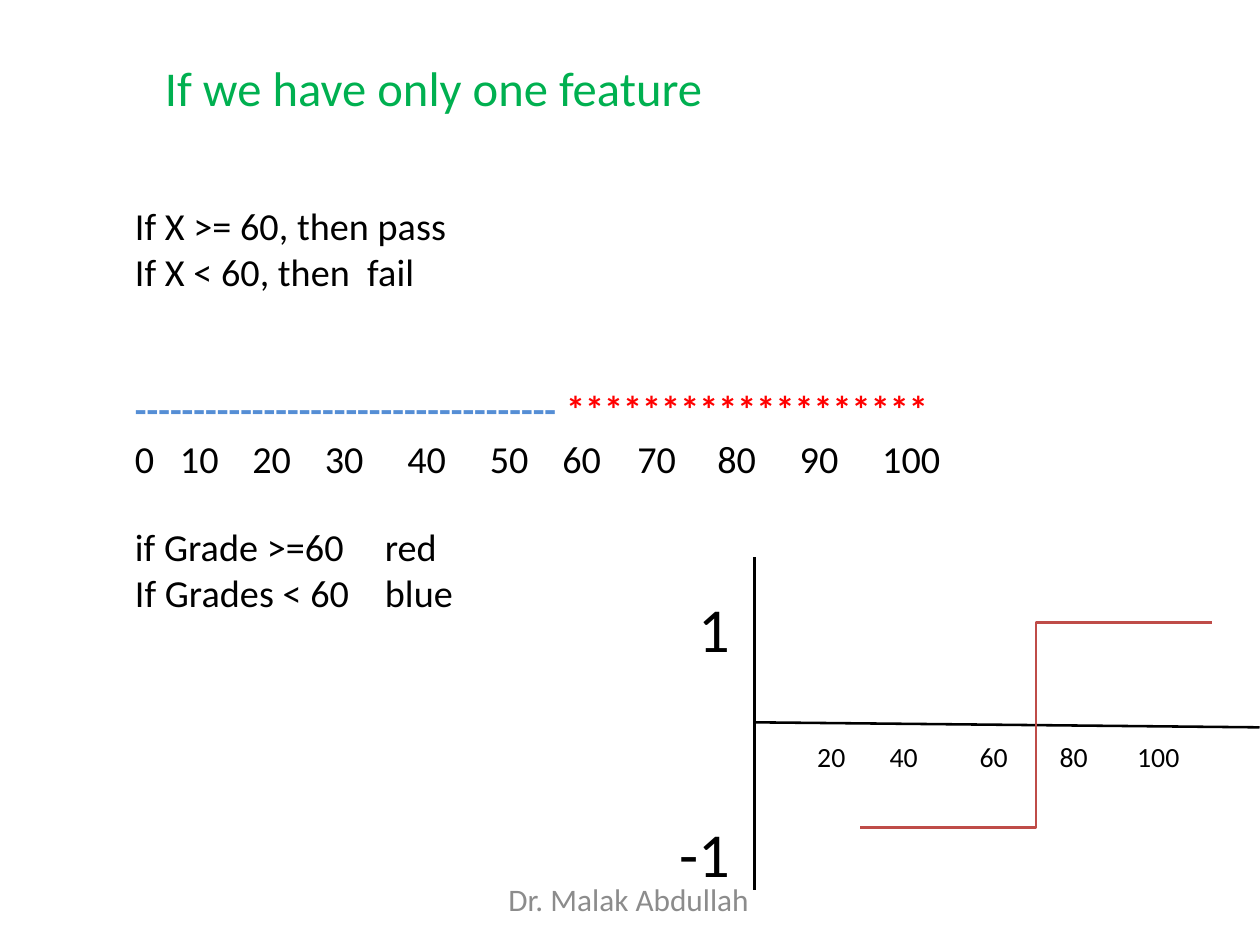
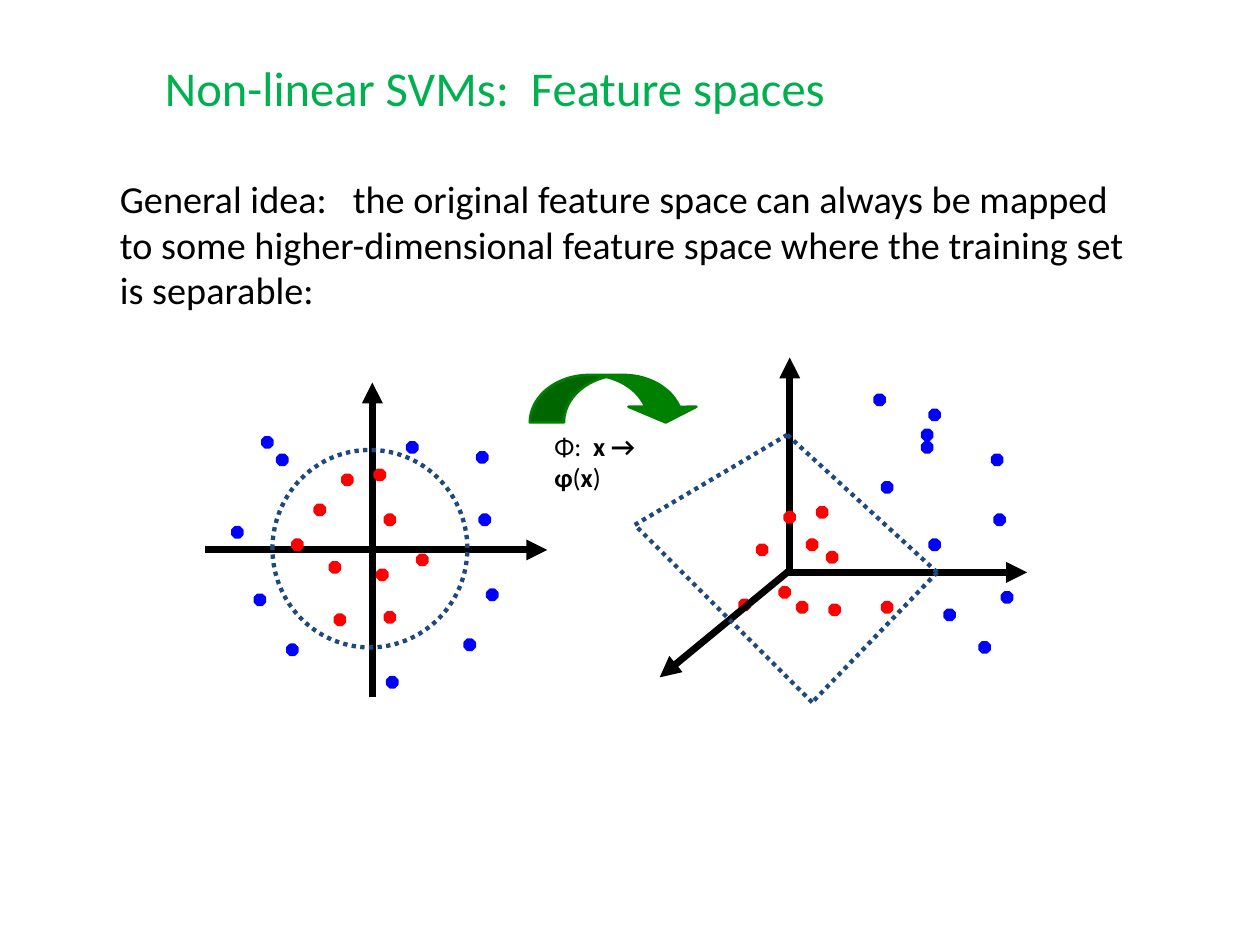
from dataclasses import dataclass
from itertools import pairwise
from typing import Optional

from lxml.etree import SubElement
from pptx import Presentation
from pptx.dml.color import RGBColor
from pptx.enum.dml import MSO_LINE
from pptx.enum.shapes import MSO_CONNECTOR, MSO_SHAPE
from pptx.enum.text import MSO_ANCHOR, MSO_AUTO_SIZE, PP_ALIGN
from pptx.oxml.ns import qn
from pptx.util import Inches, Pt

FONT = "Calibri"
COLORS = {
    "title": "00B050",
    "text": "000000",
    "footer": "8C8C8C",
    "below": "558ED5",
    "step": "BF4C48",
    "red": "FF0000",
    "blue": "0000FF",
    "boundary": "1F497D",
    "arrow": "008000",
}
DOT_SIZE = 0.04
Point = tuple[float, float]


@dataclass
class Span:
    text: str
    color: Optional[str] = None
    bold: Optional[bool] = None


@dataclass
class Para:
    spans: list[Span]
    before: float = 0


@dataclass
class TextStyle:
    size: float
    color: str = "text"
    align: PP_ALIGN = PP_ALIGN.LEFT
    inset: Point = (0, 0)


@dataclass
class LineStyle:
    color: str
    width: float
    dotted: bool = False
    arrow: bool = False


TITLE = TextStyle(14, "title")
BODY = TextStyle(11)
FOOTER = TextStyle(9, "footer", PP_ALIGN.CENTER)
SCALE = TextStyle(8)
LEVELS = TextStyle(18, align=PP_ALIGN.RIGHT, inset=(0.1, 0.05))
MAPPING = TextStyle(7.6, inset=(0.1, 0.05))

THIN = LineStyle("text", 0.75)
STEP = LineStyle("step", 0.75)
AXIS = LineStyle("text", 2, arrow=True)
BOUNDARY = LineStyle("boundary", 1.25, dotted=True)

GRADE_LEFTS = (0.54, 0.72, 1.01, 1.3, 1.63, 1.96, 2.25, 2.55, 2.87, 3.2, 3.53)
AXIS_LEFTS = (3.27, 3.56, 3.92, 4.24, 4.55)

PLANE_DOTS: dict[str, list[Point]] = {
    "red": [(1.5, 1.88), (1.26, 2.02), (1.32, 2.25), (1.54, 2.45), (1.37, 1.9),
            (1.17, 2.16), (1.34, 2.46), (1.54, 2.06), (1.67, 2.22), (1.51, 2.28)],
    "blue": [(1.92, 2.06), (1.86, 2.56), (0.93, 2.11), (1.55, 2.71), (1.95, 2.36),
             (1.15, 2.58), (1.02, 2.38), (1.05, 1.75), (1.63, 1.77), (1.11, 1.82),
             (1.91, 1.81)],
}
SPACE_DOTS: dict[str, list[Point]] = {
    "red": [(3.27, 2.03), (3.03, 2.18), (3.19, 2.41), (3.53, 2.41), (3.14, 2.05),
            (3.23, 2.16), (3.32, 2.42), (3.31, 2.21), (3.12, 2.35), (2.96, 2.4)],
    "blue": [(3.98, 2.06), (3.92, 2.57), (3.72, 1.64), (3.72, 2.16), (4.01, 2.37),
             (3.53, 1.93), (3.78, 2.44), (3.69, 1.72), (3.69, 1.77), (3.5, 1.58),
             (3.97, 1.82)],
}


def rgb(name: str) -> RGBColor:
    return RGBColor.from_string(COLORS[name])


def plain(text: str, before: float = 0) -> Para:
    return Para([Span(text)], before)


def write(box, paras: list[Para], style: TextStyle) -> None:
    frame = box.text_frame
    frame.word_wrap = True
    frame.auto_size = MSO_AUTO_SIZE.NONE
    frame.vertical_anchor = MSO_ANCHOR.TOP
    frame.margin_left = frame.margin_right = Inches(style.inset[0])
    frame.margin_top = frame.margin_bottom = Inches(style.inset[1])
    for index, item in enumerate(paras):
        para = frame.add_paragraph() if index else frame.paragraphs[0]
        properties = para._p.get_or_add_pPr()
        properties.set("marL", "0")
        properties.set("indent", "0")
        SubElement(properties, qn("a:buNone"))
        para.alignment = style.align
        para.space_before = Pt(item.before)
        para.font.name = FONT
        para.font.size = Pt(style.size)
        para.font.color.rgb = rgb(style.color)
        for part in item.spans:
            span = para.add_run()
            span.text = part.text
            if part.bold is not None:
                span.font.bold = part.bold
            if part.color:
                span.font.color.rgb = rgb(part.color)


def place(box, left: float, top: float, width: float, height: float) -> None:
    box.left, box.top = Inches(left), Inches(top)
    box.width, box.height = Inches(width), Inches(height)


def add_page(deck, title: str, body: list[Para], left: float, top: float, height: float):
    page = deck.slides.add_slide(deck.slide_layouts[1])
    place(page.shapes.title, 0.66, 0.23, 3.71, 0.24)
    write(page.shapes.title, [plain(title)], TITLE)
    place(page.placeholders[1], left, top, 4.12, height)
    write(page.placeholders[1], body, BODY)
    return page


def add_text(page, left: float, top: float, width: float, height: float,
             paras: list[Para], style: TextStyle) -> None:
    box = page.shapes.add_textbox(*map(Inches, (left, top, width, height)))
    write(box, paras, style)


def add_scale(page, lefts: tuple[float, ...], top: float, values: range,
              style: TextStyle) -> None:
    for left, value in zip(lefts, values):
        add_text(page, left, top, 0.28, 0.18, [plain(str(value))], style)


def add_line(page, start: Point, end: Point, style: LineStyle,
             kind: MSO_CONNECTOR = MSO_CONNECTOR.STRAIGHT) -> None:
    connector = page.shapes.add_connector(kind, *map(Inches, (*start, *end)))
    line = connector.line
    line.color.rgb = rgb(style.color)
    line.width = Pt(style.width)
    if style.dotted:
        line.dash_style = MSO_LINE.ROUND_DOT
    properties = connector._element.spPr
    if style.arrow:
        SubElement(properties.find(qn("a:ln")), qn("a:tailEnd"), type="triangle")
    SubElement(properties, qn("a:effectLst"))


def add_figure(page, kind: MSO_SHAPE, left: float, top: float, width: float,
               height: float, fill: Optional[str], outline: LineStyle):
    shape = page.shapes.add_shape(kind, *map(Inches, (left, top, width, height)))
    shape.shadow.inherit = False
    if fill:
        shape.fill.solid()
        shape.fill.fore_color.rgb = rgb(fill)
    else:
        shape.fill.background()
    shape.line.color.rgb = rgb(outline.color)
    shape.line.width = Pt(outline.width)
    if outline.dotted:
        shape.line.dash_style = MSO_LINE.ROUND_DOT
    return shape


def add_dots(page, groups: dict[str, list[Point]]) -> None:
    for color, points in groups.items():
        for left, top in points:
            add_figure(page, MSO_SHAPE.OCTAGON, left, top, DOT_SIZE, DOT_SIZE,
                       color, LineStyle(color, 0.75))


def build_one_feature(deck) -> None:
    body = [
        plain("If X >= 60, then pass"),
        plain("If X < 60, then  fail"),
        Para([Span("-" * 36 + " ", "below", True), Span("*" * 19, "red", True)], before=26.4),
        plain("if Grade >=60\tred", before=26.4),
        plain("If Grades < 60\tblue"),
    ]
    page = add_page(deck, "If we have only one feature", body, 0.54, 0.81, 2.22)
    add_scale(page, GRADE_LEFTS, 1.74, range(0, 101, 10), BODY)
    add_line(page, (3.02, 2.89), (5.04, 2.91), THIN)
    add_line(page, (3.02, 2.23), (3.02, 3.56), THIN)
    add_line(page, (4.85, 2.49), (3.44, 3.31), STEP, MSO_CONNECTOR.ELBOW)
    add_scale(page, AXIS_LEFTS, 2.96, range(20, 101, 20), SCALE)
    add_text(page, 2.52, 2.31, 0.5, 1.31, [plain("1"), plain("-1", before=43.2)], LEVELS)
    add_text(page, 1.71, 3.52, 1.61, 0.15, [plain("Dr. Malak Abdullah")], FOOTER)


def build_feature_spaces(deck) -> None:
    idea = plain(
        "General idea:   the original feature space can always be mapped to some "
        "higher-dimensional feature space where the training set is separable:")
    page = add_page(deck, "Non-linear SVMs:  Feature spaces", [idea], 0.48, 0.7, 0.56)

    add_line(page, (1.49, 2.79), (1.49, 1.53), AXIS)
    add_line(page, (0.82, 2.2), (2.19, 2.2), AXIS)
    add_dots(page, PLANE_DOTS)
    add_figure(page, MSO_SHAPE.OVAL, 1.09, 1.8, 0.78, 0.79, None, BOUNDARY)

    add_line(page, (3.16, 2.29), (3.16, 1.43), AXIS)
    add_line(page, (3.14, 2.29), (4.11, 2.29), AXIS)
    add_dots(page, SPACE_DOTS)
    add_line(page, (3.15, 2.29), (2.64, 2.71), AXIS)
    corners = [(2.54, 2.1), (3.15, 1.74), (3.75, 2.29), (3.25, 2.81)]
    for start, end in pairwise([*corners, corners[0]]):
        add_line(page, start, end, BOUNDARY)

    arrow = add_figure(page, MSO_SHAPE.CURVED_DOWN_ARROW, 2.12, 1.5, 0.68, 0.19,
                       "arrow", LineStyle("arrow", 0.75))
    for index, value in enumerate((0.72, 1.43, 0.33)):
        arrow.adjustments[index] = value
    mapping = Para([Span("Φ:  "), Span("x → φ", bold=True), Span("(", bold=False),
                    Span("x", bold=True), Span(")", bold=False)])
    add_text(page, 2.12, 1.67, 0.69, 0.36, [mapping], MAPPING)


def main() -> None:
    deck = Presentation()
    deck.slide_width = Pt(363)
    deck.slide_height = Pt(272.5)
    deck.element.sldSz.attrib.pop("type", None)
    build_one_feature(deck)
    build_feature_spaces(deck)
    deck.save("out.pptx")


if __name__ == "__main__":
    main()
